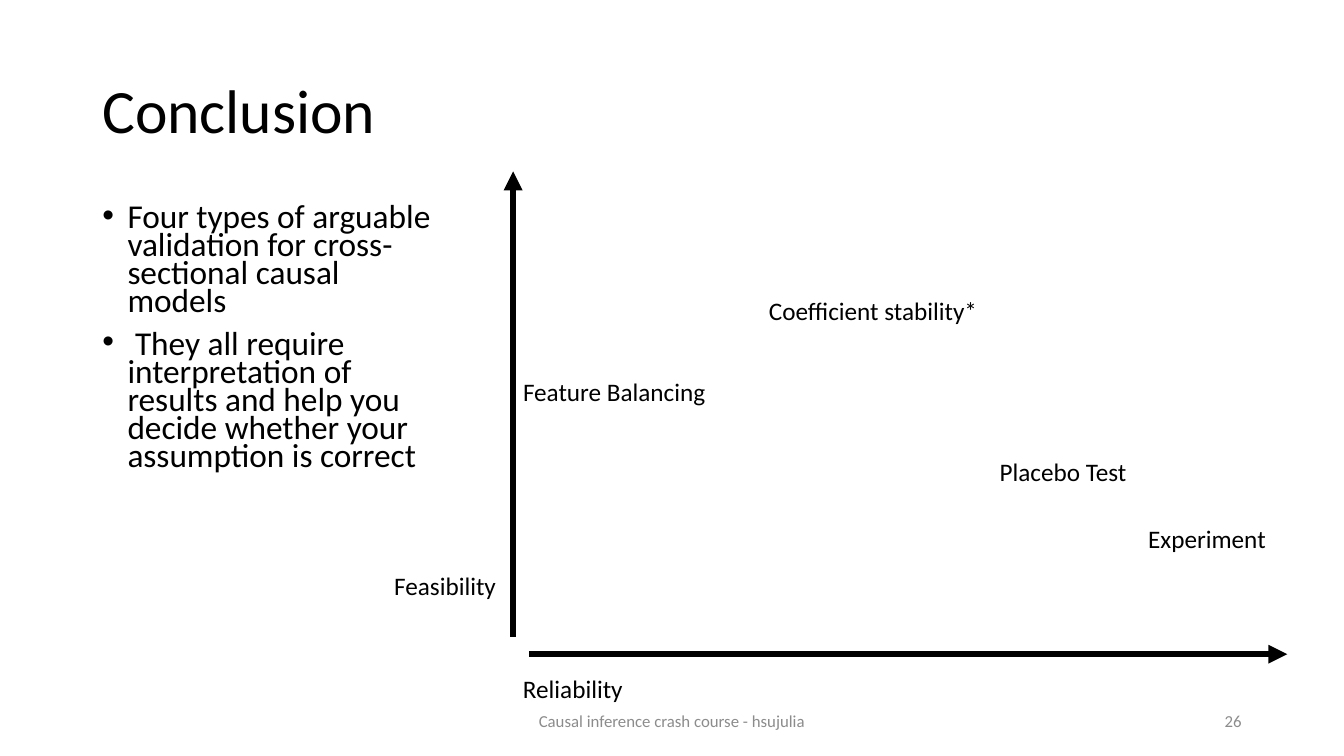
from dataclasses import dataclass

from lxml.etree import SubElement
from pptx import Presentation
from pptx.dml.color import RGBColor
from pptx.enum.shapes import MSO_CONNECTOR as Line
from pptx.enum.text import MSO_ANCHOR as Anchor, PP_ALIGN as Align
from pptx.oxml.ns import qn
from pptx.util import Pt


@dataclass(frozen=True)
class Theme:
    font: str = "Calibri"
    ink: RGBColor = RGBColor(0, 0, 0)
    muted: RGBColor = RGBColor(0x8C, 0x8C, 0x8C)
    title: float = 44
    body: float = 23.8
    label: float = 18
    footer: float = 12
    axis: float = 4.5


T = Theme()
LABEL_H = 28.8
MARGIN = 66


def add_text(s, lines, box, size, color=T.ink, align=Align.LEFT,
             anchor=Anchor.TOP, wrap=True, spacing=None):
    """Add a text box with one paragraph per line."""
    tf = s.shapes.add_textbox(*map(Pt, box)).text_frame
    tf.word_wrap = wrap
    tf.vertical_anchor = anchor
    for i, line in enumerate(lines):
        p = tf.paragraphs[0] if i == 0 else tf.add_paragraph()
        p.alignment = align
        if spacing:
            p.line_spacing = spacing
        r = p.add_run()
        r.text = line
        r.font.name, r.font.size = T.font, Pt(size)
        r.font.color.rgb = color
    return tf


def add_bullets(s, lines, box):
    tf = add_text(s, lines, box, T.body, spacing=0.7)
    for p in tf.paragraphs:
        p.space_before = Pt(10)
        pPr = p._p.get_or_add_pPr()
        pPr.set("marL", str(Pt(18)))
        pPr.set("indent", str(-Pt(18)))
        SubElement(pPr, qn("a:buFont")).set("typeface", "Arial")
        SubElement(pPr, qn("a:buChar")).set("char", "•")


def add_axis(s, start, end):
    c = s.shapes.add_connector(Line.STRAIGHT, *map(Pt, start + end))
    c.line.color.rgb = T.ink
    c.line.width = Pt(T.axis)
    SubElement(c.line._get_or_add_ln(), qn("a:tailEnd")).set("type", "triangle")
    SubElement(c._element.spPr, qn("a:effectLst"))


def add_footer(s, text, left, width, align):
    add_text(s, [text], (left, 500.5, width, LABEL_H), T.footer, T.muted,
             align, Anchor.MIDDLE)


def main():
    prs = Presentation()
    prs.slide_width, prs.slide_height = Pt(960), Pt(540)
    s = prs.slides.add_slide(prs.slide_layouts[6])

    # Title and takeaways
    add_text(s, ["Conclusion"], (MARGIN, 28.8, 828, 104.4), T.title,
             anchor=Anchor.MIDDLE, spacing=0.9)
    add_bullets(s, [
        "Four types of arguable validation for cross-sectional causal models",
        " They all require interpretation of results and help you decide "
        "whether your assumption is correct",
    ], (MARGIN, 144, 258.5, 214.5))

    # Axes: feasibility upwards, reliability to the right
    axis_x = 366.5
    add_axis(s, (axis_x, 455), (axis_x, 122.4))
    add_axis(s, (378, 467.3), (919.5, 467.3))
    add_text(s, ["Feasibility"], (261.4, 404, 100, LABEL_H), T.label,
             align=Align.RIGHT)

    # Reliability caption and the validation methods
    for text, left, top, width in [
        ("Reliability", axis_x, 477.4, 86.4),
        ("Feature Balancing", axis_x, 265, 146),
        ("Coefficient stability*", 542.2, 207.4, 165.6),
        ("Placebo Test", 707, 322.6, 105.8),
        ("Experiment", 813, 370, 99.4),
    ]:
        add_text(s, [text], (left, top, width, LABEL_H), T.label, wrap=False)

    # Footer
    add_footer(s, "Causal inference crash course - hsujulia", 318, 324,
               Align.CENTER)
    add_footer(s, "26", 678, 216, Align.RIGHT)

    prs.save("out.pptx")


main()
